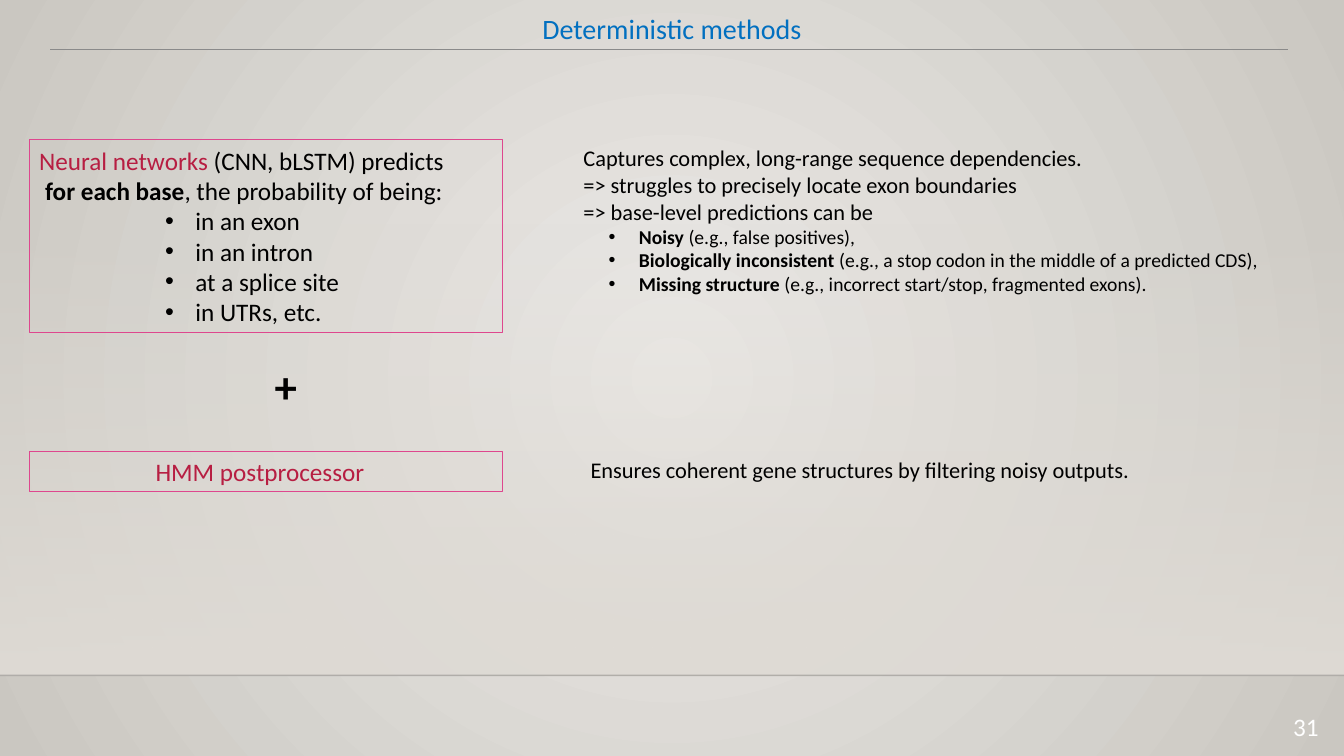
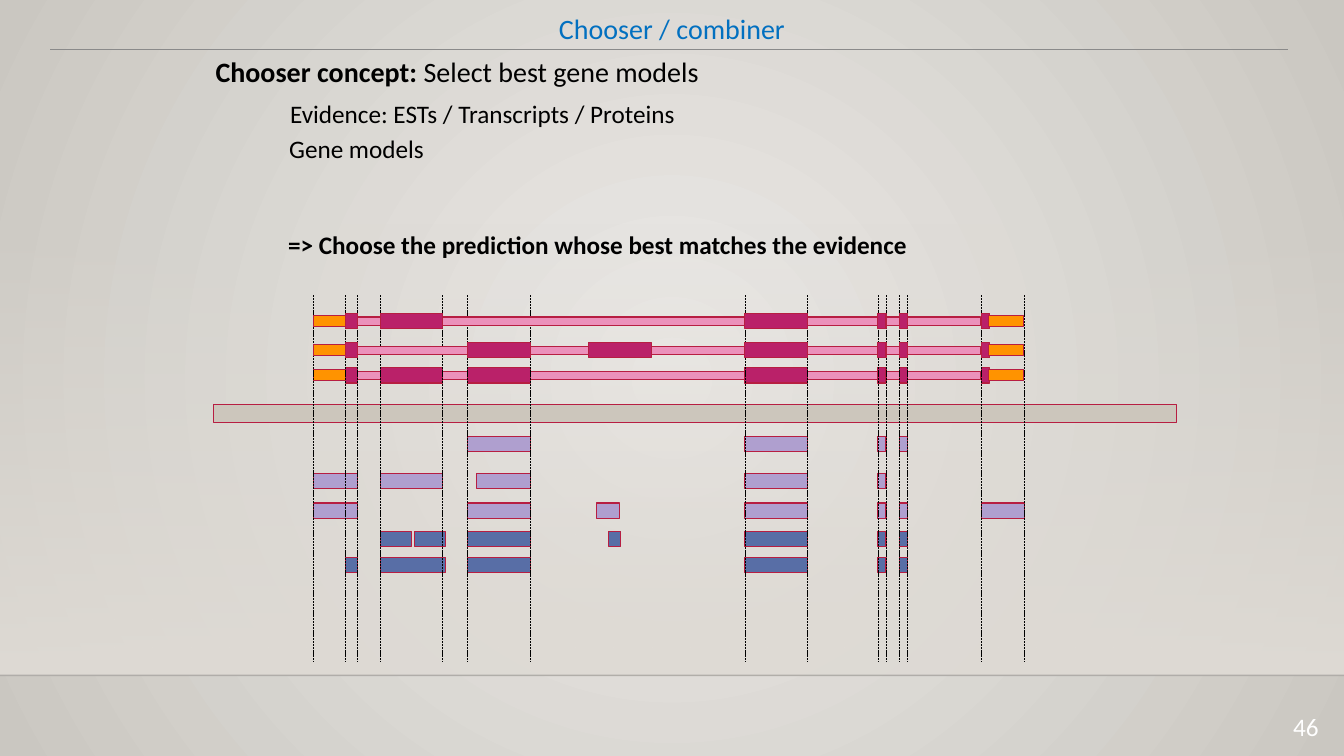
from dataclasses import dataclass

from lxml import etree
from pptx import Presentation
from pptx.dml.color import RGBColor
from pptx.enum.dml import MSO_LINE
from pptx.enum.shapes import MSO_CONNECTOR, MSO_SHAPE
from pptx.enum.text import MSO_ANCHOR, PP_ALIGN
from pptx.oxml.ns import qn
from pptx.util import Inches, Pt

LEFT, CENTER, RIGHT = PP_ALIGN.LEFT, PP_ALIGN.CENTER, PP_ALIGN.RIGHT
TOP, MIDDLE = MSO_ANCHOR.TOP, MSO_ANCHOR.MIDDLE
RECTANGLE, STRAIGHT = MSO_SHAPE.RECTANGLE, MSO_CONNECTOR.STRAIGHT
DASHED, SOLID = MSO_LINE.SQUARE_DOT, MSO_LINE.SOLID
FONT = "Calibri"
GRID = 0.1
PAGE_COLUMNS, PAGE_ROWS = 133.33, 75
COLORS = {
    "title": "0270C0", "text": "000000", "number": "FFFFFF", "accent": "B71E42",
    "frame": "DE478E", "rule": "8A8A8A", "footer": "000001", "band": "DFDBD5",
    "center": "ECEAE7", "edge": "CAC7C1", "genome": "CCC6BC", "intron": "EB91BB",
    "exon": "BA2169", "utr": "FF9300", "transcript": "AF9FCF", "protein": "586EA6",
}


@dataclass(frozen=True)
class Area:
    column: float
    row: float
    columns: float
    rows: float


@dataclass(frozen=True)
class Span:
    text: str
    bold: bool = False
    color: str = "text"


@dataclass(frozen=True)
class Line:
    spans: tuple[Span, ...]
    size: int = 18
    indent: float = 0
    bullet: bool = False


@dataclass(frozen=True)
class Segment:
    start: float
    end: float


@dataclass(frozen=True)
class Track:
    middle: float
    color: str
    segments: tuple[Segment, ...]


UTR_START, UTR_END = Segment(31.1, 34.3), Segment(98.1, 101.5)
START, STOP = Segment(34.3, 35.5), Segment(97.4, 98.2)
SECOND, THIRD = Segment(37.7, 43.9), Segment(46.4, 52.6)
EXTRA, FOURTH = Segment(58.4, 64.6), Segment(73.9, 80.1)
FIFTH, SIXTH = Segment(87.1, 87.9), Segment(89.2, 90)
FIRST, LAST = Segment(31.1, 35.5), Segment(97.4, 101.6)
INTRON = Segment(35.1, 97.3)
TAIL = (FOURTH, FIFTH, SIXTH)
GUIDED = (FIRST, START, SECOND, THIRD, *TAIL, LAST)

UPPER_MODELS = (
    Track(34.75, "exon", (EXTRA, THIRD, *TAIL, STOP, START)),
    Track(31.85, "exon", (SECOND, *TAIL, STOP, START)),
)
LOWER_MODEL = Track(37.25, "exon", (SECOND, THIRD, *TAIL, STOP, START))
EVIDENCE = (
    Track(53.45, "protein", (Segment(37.7, 40.8), Segment(41.1, 44.2), THIRD,
                             Segment(60.4, 61.6), *TAIL)),
    Track(56.05, "protein", (START, Segment(37.7, 44.2), THIRD, *TAIL)),
    Track(44.05, "transcript", (THIRD, *TAIL)),
    Track(47.75, "transcript", (FIRST, SECOND, Segment(47.3, 52.6), FOURTH, FIFTH)),
    Track(50.65, "transcript", (FIRST, THIRD, Segment(59.2, 61.5), *TAIL, LAST)),
)


def grid(value: float) -> int:
    return Inches(value * GRID)


def rgb(name: str) -> RGBColor:
    return RGBColor.from_string(COLORS[name])


def set_gradient(element, stops, direction: str) -> None:
    gradient = next(element.iter(qn("a:gradFill")))
    for child in list(gradient):
        gradient.remove(child)
    stop_list = etree.SubElement(gradient, qn("a:gsLst"))
    for position, color, opacity in stops:
        stop = etree.SubElement(stop_list, qn("a:gs"), pos=str(position * 1000))
        tint = etree.SubElement(stop, qn("a:srgbClr"), val=COLORS[color])
        etree.SubElement(tint, qn("a:alpha"), val=str(opacity * 1000))
    if direction == "circle":
        route = etree.SubElement(gradient, qn("a:path"), path="circle")
        sides = dict.fromkeys("ltrb", "50000")
        etree.SubElement(route, qn("a:fillToRect"), **sides)
    else:
        etree.SubElement(gradient, qn("a:lin"), ang="5400000", scaled="0")


def add_box(page, area: Area, *, fill: str = "", line: str = ""):
    box = page.shapes.add_shape(RECTANGLE, grid(area.column), grid(area.row),
                                grid(area.columns), grid(area.rows))
    box.shadow.inherit = False
    if fill:
        box.fill.solid()
        box.fill.fore_color.rgb = rgb(fill)
    else:
        box.fill.background()
    if line:
        box.line.color.rgb = rgb(line)
        box.line.width = Pt(0.75)
    else:
        box.line.fill.background()
    return box


def add_line(page, start: tuple[float, float], end: tuple[float, float], *,
             color: str, width: float, dash=SOLID, opacity: int = 100) -> None:
    line = page.shapes.add_connector(STRAIGHT, grid(start[0]), grid(start[1]),
                                     grid(end[0]), grid(end[1]))
    line.line.color.rgb = rgb(color)
    line.line.width = Pt(width)
    line.line.dash_style = dash
    tint = next(line.element.iter(qn("a:srgbClr")))
    etree.SubElement(tint, qn("a:alpha"), val=str(opacity * 1000))
    etree.SubElement(line.element.spPr, qn("a:effectLst"))


def add_span(para, text: str, *, size: int, color: str, bold: bool) -> None:
    span = para.add_run()
    span.text = text
    span.font.name = FONT
    span.font.size = Pt(size)
    span.font.bold = bold
    span.font.color.rgb = rgb(color)


def set_indent(para, line: Line) -> None:
    properties = para._p.get_or_add_pPr()
    properties.set("marL", str(grid(line.indent)))
    if line.bullet:
        properties.set("indent", str(-grid(3)))
        etree.SubElement(properties, qn("a:buFont"), typeface="Arial")
        etree.SubElement(properties, qn("a:buChar"), char="•")


def add_text(page, area: Area, *lines: Line, align=LEFT, anchor=TOP, frame: str = "",
             wrap: bool = True, spacing: float = 1, right_inset: float = 1) -> None:
    if frame:
        box = add_box(page, area, line=frame)
    else:
        box = page.shapes.add_textbox(grid(area.column), grid(area.row),
                                      grid(area.columns), grid(area.rows))
    text_frame = box.text_frame
    text_frame.word_wrap = wrap
    text_frame.vertical_anchor = anchor
    text_frame.margin_right = grid(right_inset)
    for index, line in enumerate(lines):
        para = text_frame.add_paragraph() if index else text_frame.paragraphs[0]
        para.alignment = align
        para.line_spacing = spacing
        set_indent(para, line)
        for span in line.spans:
            add_span(para, span.text, size=line.size, color=span.color, bold=span.bold)


def plain(text: str, **options) -> Line:
    return Line((Span(text),), **options)


def add_page(deck, title: str, number: int):
    page = deck.slides.add_slide(deck.slide_layouts[6])
    band = add_box(page, Area(0, 22.1, PAGE_COLUMNS, 44.9))
    band.fill.gradient()
    set_gradient(band.element, ((0, "band", 0), (100, "band", 100)), "down")
    add_line(page, (0, 67), (PAGE_COLUMNS, 67), color="footer", width=1, opacity=20)
    add_line(page, (5, 4.9), (127.8, 4.9), color="rule", width=0.75)
    add_text(page, Area(0, 0, PAGE_COLUMNS, 4.9),
             Line((Span(title, color="title"),), size=20),
             align=CENTER, anchor=MIDDLE, spacing=1.2)
    add_text(page, Area(122.5, 70.1, 9.3, 3.4),
             Line((Span(str(number), color="number"),)), align=RIGHT)
    return page


def add_segment(page, segment: Segment, middle: float, rows: float, color: str) -> None:
    area = Area(segment.start, middle - rows / 2, segment.end - segment.start, rows)
    add_box(page, area, fill=color, line="accent")


def add_track(page, track: Track) -> None:
    for segment in track.segments:
        add_segment(page, segment, track.middle, 1.5, track.color)


def add_model(page, model: Track) -> None:
    add_segment(page, INTRON, model.middle, 0.8, "intron")
    add_track(page, model)
    for segment in (UTR_START, UTR_END):
        add_segment(page, segment, model.middle, 1.1, "utr")


def build_methods(deck) -> None:
    page = add_page(deck, "Deterministic methods", 31)
    targets = ("in an exon", "in an intron", "at a splice site", "in UTRs, etc.")
    add_text(
        page, Area(2.9, 13.8, 47, 19.2),
        Line((Span("Neural networks ", color="accent"),
              Span("(CNN, bLSTM) predicts"))),
        Line((Span("for each base", bold=True),
              Span(", the probability of being:")), indent=0.6),
        *(plain(target, indent=15.5, bullet=True) for target in targets),
        frame="frame", anchor=MIDDLE)
    limits = (
        ("Noisy", " (e.g., false positives),"),
        ("Biologically inconsistent",
         " (e.g., a stop codon in the middle of a predicted CDS),"),
        ("Missing structure", " (e.g., incorrect start/stop, fragmented exons)."),
    )
    add_text(
        page, Area(56.9, 13.8, 70.3, 18.5),
        plain("Captures complex, long-range sequence dependencies.", size=16),
        plain("=> struggles to precisely locate exon boundaries", size=16),
        plain("=> base-level predictions can be", size=16),
        *(Line((Span(name, bold=True), Span(example)), size=14, indent=5.5, bullet=True)
          for name, example in limits))
    add_text(page, Area(57.6, 44.8, 66.8, 3.7),
             plain("Ensures coherent gene structures by filtering noisy outputs.", size=16))
    add_text(page, Area(2.9, 44.8, 47, 4),
             Line((Span("HMM postprocessor", color="accent"),)),
             align=CENTER, anchor=MIDDLE, frame="frame", right_inset=2.2)
    add_text(page, Area(17.8, 35.1, 21.1, 6.4),
             Line((Span("+", bold=True),), size=32), align=CENTER)


def build_chooser(deck) -> None:
    page = add_page(deck, "Chooser / combiner", 46)
    add_text(page, Area(20.4, 4.9, 50.4, 4.4),
             Line((Span("Chooser concept: ", bold=True),
                   Span("Select best gene models")), size=20), wrap=False)
    add_text(page, Area(27.8, 9.3, 44, 4), plain("Evidence: ESTs / Transcripts / Proteins"))
    add_text(page, Area(27.7, 12.7, 15.5, 4), plain("Gene models"), wrap=False)
    add_text(page, Area(27.6, 22.3, 64.2, 4),
             Line((Span("=> Choose the prediction whose best matches the evidence",
                        bold=True),)), wrap=False)
    add_box(page, Area(21.2, 40.1, 95.5, 1.8), fill="genome", line="accent")
    add_model(page, LOWER_MODEL)
    for track in EVIDENCE:
        add_track(page, track)
    edges = {edge for segment in GUIDED for edge in (segment.start, segment.end)}
    for column in sorted(edges):
        add_line(page, (column, 29.3), (column, 65.7), color="text", width=0.5, dash=DASHED)
    for model in UPPER_MODELS:
        add_model(page, model)


def main() -> None:
    deck = Presentation()
    deck.slide_width, deck.slide_height = grid(PAGE_COLUMNS), grid(PAGE_ROWS)
    master = deck.slide_master
    master.background.fill.gradient()
    set_gradient(master.element, ((0, "center", 100), (100, "edge", 100)), "circle")
    build_methods(deck)
    build_chooser(deck)
    deck.save("out.pptx")


if __name__ == "__main__":
    main()
